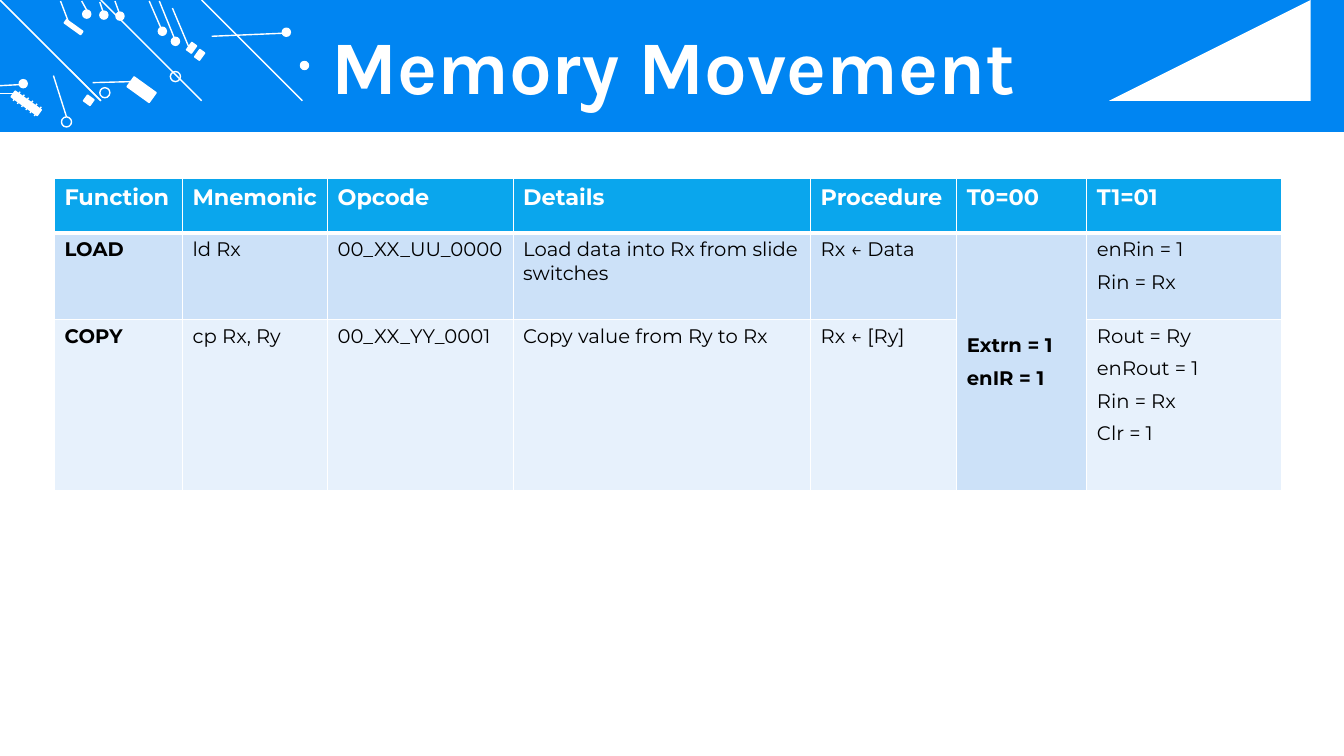
from dataclasses import dataclass
from typing import Optional

from lxml.etree import SubElement
from pptx import Presentation
from pptx.dml.color import RGBColor
from pptx.enum.shapes import MSO_CONNECTOR as Connector, MSO_SHAPE as Preset
from pptx.enum.text import MSO_ANCHOR as Anchor, PP_ALIGN as Align
from pptx.oxml.ns import qn
from pptx.util import Inches, Pt

BLUE, WHITE, BLACK = "0085F2", "FFFFFF", "000000"
HEADER_FILL, LOAD_FILL, COPY_FILL = "0AA6ED", "CCE1F8", "E7F1FC"
TILT = 35.7
LEFT_SIDE = 1
Point = tuple[float, float]

TITLE_FONT = {"name": "Karla", "size": Pt(54), "bold": True}
HEADER_FONT = {"name": "Montserrat", "size": Pt(16), "bold": True}
LABEL_FONT = {"name": "Montserrat", "size": Pt(14), "bold": True}
BODY_FONT = {"name": "Montserrat", "size": Pt(14), "bold": False}


@dataclass
class Part:
    """A tilted block of the circuit."""
    left: float
    top: float
    width: float
    height: float
    name: str


@dataclass
class Wire:
    start: Point
    end: Point
    joined_part: Optional[str] = None


PARTS = [
    Part(1.27, 0.83, 0.27, 0.12, "large block"),
    Part(0.63, 0.25, 0.2, 0.04, "thin bar"),
    Part(0.84, 0.96, 0.08, 0.07, "small block"),
    Part(1.87, 0.43, 0.06, 0.09, "capacitor left plate"),
    Part(1.95, 0.5, 0.06, 0.09, "capacitor right plate"),
    Part(0.1, 0.99, 0.32, 0.07, "coil"),
]
DOT_SIZE, RING_SIZE = 0.08, 0.1
DOTS = [(2.98, 0.61), (2.8, 0.28), (0.82, 0.1), (0.99, 0.11), (1.15, 0.12),
        (0.19, 0.79), (1.7, 0.37), (1.57, 0.27)]
RINGS = [(1.69, 0.71), (0.99, 0.87), (0.61, 1.16)]
COIL_TURNS = [Wire((0.13 + 0.042 * i, 1 + 0.03 * i), (0.2 + 0.042 * i, 0.91 + 0.03 * i))
              for i in range(6)]
WIRES = [
    Wire((0.6, 0.01), (0.68, 0.22)),
    Wire((0.81, 0.01), (0.86, 0.1)),
    Wire((0.99, 0.02), (1.02, 0.11)),
    Wire((1.14, 0.01), (1.18, 0.12)),
    Wire((1.48, 0.01), (1.61, 0.31)),
    Wire((1.58, 0.01), (1.73, 0.38)),
    Wire((2.1, 0.36), (2.8, 0.33)),
    Wire((1.71, 0.08), (1.87, 0.46), "capacitor left plate"),
    Wire((0, 0.85), (0.19, 0.84)),
    Wire((0, 0.93), (0.14, 0.93), "coil"),
    Wire((0.53, 0.75), (0.66, 1.16)),
    Wire((0.92, 0.82), (1.3, 0.81), "large block"),
    *COIL_TURNS,
]
TRACES = [
    [(1.63, 0), (2.53, 0.67), (2.99, 0.65)],
    [(0.16, 0), (0.27, 0.35), (1, 0.88)],
    [(0, 0.02), (0.05, 0.06), (0.17, 0.48), (0.86, 0.99)],
    [(0.64, 0.62), (1.1, 0.61), (1.32, 0.78)],
    [(1.03, 0.18), (1.05, 0.27), (1.7, 0.74)],
]

CHIP_WINDOW = [(12.61, 0.23), (11.84, 0.52), (12.08, 0.62), (12.85, 0.32)]
PIN = [(13.31, 0.52), (13.31, 0.78), (13.27, 0.79), (13.27, 0.53),
       (13.23, 0.55), (13.23, 0.49), (13.14, 0.52), (13.14, 0.58)]
PIN_COUNT, PIN_STEP_X, PIN_STEP_Y = 8, -0.214, 0.083
PINS = [(x + PIN_STEP_X * i, y + PIN_STEP_Y * i) for i in range(PIN_COUNT) for x, y in PIN]
CHIP_BODY = [
    (12.81, 0), (13.21, 0), (13.33, 0.05), (13.33, 0.51), *PINS[:-1],
    (11.42, 1.01), (11.42, 1.02), (11.38, 1.04), (11.38, 0.99), (11.21, 0.93),
    (11.21, 1.1), (11.17, 1.12), (11.17, 0.91), (11, 0.85), (11, 0.68),
]

COLUMN_WIDTHS = [1.27, 1.44, 1.84, 2.95, 1.45, 1.29, 1.93]
ROW_HEIGHTS = [0.54, 0.86, 1.7]
ROW_FILLS = [HEADER_FILL, LOAD_FILL, COPY_FILL]
T0_COLUMN = 5
ROWS = [
    ["Function", "Mnemonic", "Opcode", "Details", "Procedure", "T0=00", "T1=01"],
    ["LOAD", "ld Rx", "00_XX_UU_0000", "Load data into Rx from slide switches",
     "Rx ← Data", "Extrn = 1\nenIR = 1", "enRin = 1\nRin = Rx"],
    ["COPY", "cp Rx, Ry", "00_XX_YY_0001", "Copy value from Ry to Rx",
     "Rx ← [Ry]", "", "Rout = Ry\nenRout = 1\nRin = Rx\nClr = 1"],
]


def color(value: str) -> RGBColor:
    return RGBColor.from_string(value)


def paint(shape, fill: Optional[str], line: Optional[str]) -> None:
    shape.shadow.inherit = False
    for target, value in ((shape.fill, fill), (shape.line.fill, line)):
        if value:
            target.solid()
            target.fore_color.rgb = color(value)
        else:
            target.background()
    if line:
        shape.line.width = Pt(1)


def add_preset(slide, preset, left: float, top: float, width: float, height: float,
               fill: Optional[str], line: Optional[str] = WHITE):
    shape = slide.shapes.add_shape(preset, Inches(left), Inches(top), Inches(width), Inches(height))
    paint(shape, fill, line)
    return shape


def add_outline(slide, contours: list[list[Point]], closed: bool) -> None:
    """Draw all contours as one shape: filled if closed, otherwise a line."""
    scale = Inches(1)
    builder = slide.shapes.build_freeform(*contours[0][0], scale=scale)
    for index, contour in enumerate(contours):
        if index:
            builder.move_to(*contour[0])
        builder.add_line_segments(contour[1:], close=closed)
    paint(builder.convert_to_shape(), WHITE if closed else None, None if closed else WHITE)


def add_wire(slide, wire: Wire, parts: dict) -> None:
    ends = [Inches(value) for value in (*wire.start, *wire.end)]
    connector = slide.shapes.add_connector(Connector.STRAIGHT, *ends)
    if wire.joined_part:
        connector.end_connect(parts[wire.joined_part], LEFT_SIDE)
        # Joining ignores the tilt of the part, so the end is placed again.
        connector.end_x, connector.end_y = ends[2:]
    connector.line.color.rgb = color(WHITE)
    connector.line.width = Pt(1)
    SubElement(connector._element.spPr, qn("a:effectLst"))


def add_circuit(slide) -> None:
    parts = {}
    for part in PARTS:
        shape = add_preset(slide, Preset.RECTANGLE, part.left, part.top, part.width, part.height, WHITE)
        shape.rotation = TILT
        parts[part.name] = shape
    for spots, size, fill in ((DOTS, DOT_SIZE, WHITE), (RINGS, RING_SIZE, None)):
        for left, top in spots:
            add_preset(slide, Preset.OVAL, left, top, size, size, fill)
    for wire in WIRES:
        add_wire(slide, wire, parts)
    for trace in TRACES:
        add_outline(slide, [trace], closed=False)


def write(frame, text: str, font_values: dict, text_color: str) -> None:
    for index, line in enumerate(text.split("\n")):
        paragraph = frame.add_paragraph() if index else frame.paragraphs[0]
        paragraph.space_before = Pt(6 if index else 0)
        run = paragraph.add_run()
        run.text = line
        for name, value in font_values.items():
            setattr(run.font, name, value)
        run.font.color.rgb = color(text_color)


def add_title(slide) -> None:
    box = slide.shapes.add_textbox(Inches(0.35), Inches(0.3), Inches(12.66), Inches(0.79))
    frame = box.text_frame
    frame.word_wrap = True
    frame.vertical_anchor = Anchor.MIDDLE
    write(frame, "Memory Movement", TITLE_FONT, WHITE)
    frame.paragraphs[0].alignment = Align.CENTER
    frame.paragraphs[0].line_spacing = 0.9


def format_cell(cell, row: int, fill: str) -> None:
    """Set white borders, thick under the header, and then the fill."""
    properties = cell._tc.get_or_add_tcPr()
    widths = {"a:lnL": 1, "a:lnR": 1, "a:lnT": 3 if row == 1 else 1, "a:lnB": 3 if row == 0 else 1}
    for tag, width in widths.items():
        border = SubElement(properties, qn(tag), w=str(Pt(width)))
        SubElement(SubElement(border, qn("a:solidFill")), qn("a:srgbClr"), val=WHITE)
    cell.fill.solid()
    cell.fill.fore_color.rgb = color(fill)


def add_instruction_table(slide) -> None:
    table = slide.shapes.add_table(
        len(ROWS), len(COLUMN_WIDTHS), Inches(0.54), Inches(1.77),
        Inches(sum(COLUMN_WIDTHS)), Inches(sum(ROW_HEIGHTS))).table
    for column, width in zip(table.columns, COLUMN_WIDTHS):
        column.width = Inches(width)
    for row, (texts, height, fill) in enumerate(zip(ROWS, ROW_HEIGHTS, ROW_FILLS)):
        table.rows[row].height = Inches(height)
        for column, text in enumerate(texts):
            cell = table.cell(row, column)
            format_cell(cell, row, fill)
            label = column in (0, T0_COLUMN)
            font_values = HEADER_FONT if row == 0 else LABEL_FONT if label else BODY_FONT
            if text:
                write(cell.text_frame, text, font_values, BLACK if row else WHITE)
    shared_step = table.cell(1, T0_COLUMN)
    shared_step.merge(table.cell(2, T0_COLUMN))
    shared_step.vertical_anchor = Anchor.MIDDLE


def main() -> None:
    presentation = Presentation()
    presentation.slide_width, presentation.slide_height = Inches(13.33), Inches(7.5)
    slide = presentation.slides.add_slide(presentation.slide_layouts[6])
    add_preset(slide, Preset.RECTANGLE, 0, 0, 13.33, 1.31, BLUE, None)
    add_outline(slide, [CHIP_WINDOW, CHIP_BODY], closed=True)
    add_circuit(slide)
    add_title(slide)
    add_instruction_table(slide)
    presentation.save("out.pptx")


if __name__ == "__main__":
    main()
